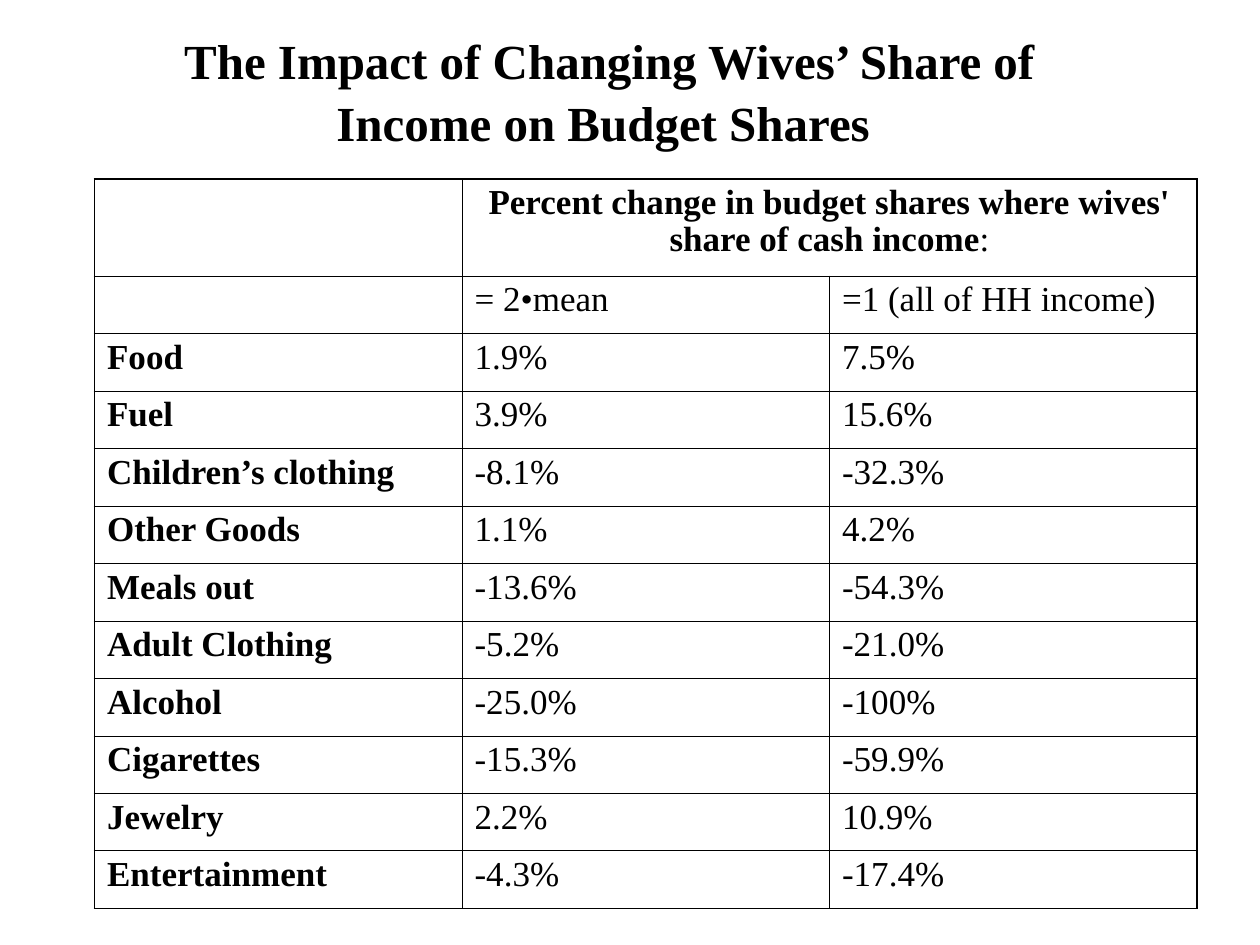
from lxml import etree
from pptx import Presentation
from pptx.dml.color import RGBColor
from pptx.enum.text import MSO_ANCHOR, MSO_AUTO_SIZE, PP_ALIGN
from pptx.oxml.ns import qn
from pptx.util import Inches, Pt

CENTER, LEFT = PP_ALIGN.CENTER, PP_ALIGN.LEFT
TOP = MSO_ANCHOR.TOP
FIT_SHAPE = MSO_AUTO_SIZE.SHAPE_TO_FIT_TEXT
TITLE_ONLY = 5

THEME = {
    "font": "Times New Roman",
    "ink": "000000",
    "title_size": Pt(28),
    "table_size": Pt(20),
    "outer_line": Pt(1.08),
    "inner_line": Pt(0.45),
}
TITLE_FORMAT = {"alignment": CENTER, "space_before": Pt(17.5), "line_spacing": 1.05}
CELL_FORMAT = {"alignment": LEFT, "space_before": Pt(5), "line_spacing": 0.95}

HEADING = "Percent change in budget shares where wives' share of cash income"
ROWS = [
    ("", HEADING, ""),
    ("", "= 2•mean", "=1 (all of HH income)"),
    ("Food", "1.9%", "7.5%"),
    ("Fuel", "3.9%", "15.6%"),
    ("Children’s clothing", "-8.1%", "-32.3%"),
    ("Other Goods", "1.1%", "4.2%"),
    ("Meals out", "-13.6%", "-54.3%"),
    ("Adult Clothing", "-5.2%", "-21.0%"),
    ("Alcohol", "-25.0%", "-100%"),
    ("Cigarettes", "-15.3%", "-59.9%"),
    ("Jewelry", "2.2%", "10.9%"),
    ("Entertainment", "-4.3%", "-17.4%"),
]
COLUMN_COUNT = 3


def add_run(paragraph, text, size, bold):
    run = paragraph.add_run()
    run.text = text
    values = {"name": THEME["font"], "size": size, "bold": bold}
    for name, value in values.items():
        setattr(run.font, name, value)
    run.font.color.rgb = RGBColor.from_string(THEME["ink"])


def set_borders(cell, outer_sides):
    properties = cell._tc.get_or_add_tcPr()
    for index, side in enumerate(("lnL", "lnR", "lnT", "lnB")):
        width = THEME["outer_line"] if side in outer_sides else THEME["inner_line"]
        line = etree.Element(qn(f"a:{side}"), w=str(int(width)))
        fill = etree.SubElement(line, qn("a:solidFill"))
        etree.SubElement(fill, qn("a:srgbClr"), val=THEME["ink"])
        properties.insert(index, line)


presentation = Presentation()
presentation.slide_width, presentation.slide_height = Inches(10), Inches(7.5)
slide = presentation.slides.add_slide(presentation.slide_layouts[TITLE_ONLY])

# Title
title = slide.shapes.title
title.left, title.top = Inches(1), Inches(0.17)
title.width, title.height = Inches(7.67), Inches(1.04)
frame = title.text_frame
for name, value in {"word_wrap": True, "auto_size": FIT_SHAPE, "vertical_anchor": TOP}.items():
    setattr(frame, name, value)
paragraph = frame.paragraphs[0]
for name, value in TITLE_FORMAT.items():
    setattr(paragraph, name, value)
add_run(paragraph, "The Impact of Changing Wives’ Share of Income on Budget Shares ",
        THEME["title_size"], True)

# Table grid
table = slide.shapes.add_table(len(ROWS), COLUMN_COUNT, Inches(0.75), Inches(1.42),
                               Inches(8.75), Inches(5.79)).table
table.first_row = table.horz_banding = False
for column in table.columns:
    column.width = Inches(8.75 / COLUMN_COUNT)
for index, row in enumerate(table.rows):
    row.height = Inches(0.77) if index == 0 else Inches(5.02 / (len(ROWS) - 1))
table.cell(0, 1).merge(table.cell(0, 2))

# Table cells: labels and the heading are bold
for row_index, texts in enumerate(ROWS):
    for column_index, text in enumerate(texts):
        cell = table.cell(row_index, column_index)
        cell.fill.background()
        edges = {
            "lnL": column_index == 0,
            "lnR": column_index == COLUMN_COUNT - 1 or cell.is_merge_origin,
            "lnT": row_index == 0,
            "lnB": row_index == len(ROWS) - 1,
        }
        set_borders(cell, [side for side, is_outer in edges.items() if is_outer])
        if not text:
            continue
        paragraph = cell.text_frame.paragraphs[0]
        for name, value in CELL_FORMAT.items():
            setattr(paragraph, name, value)
        add_run(paragraph, text, THEME["table_size"], column_index == 0 or row_index == 0)

# The heading is centred and ends in a regular-weight colon
heading = table.cell(0, 1).text_frame.paragraphs[0]
heading.alignment = CENTER
add_run(heading, ":", THEME["table_size"], False)

presentation.save("out.pptx")
